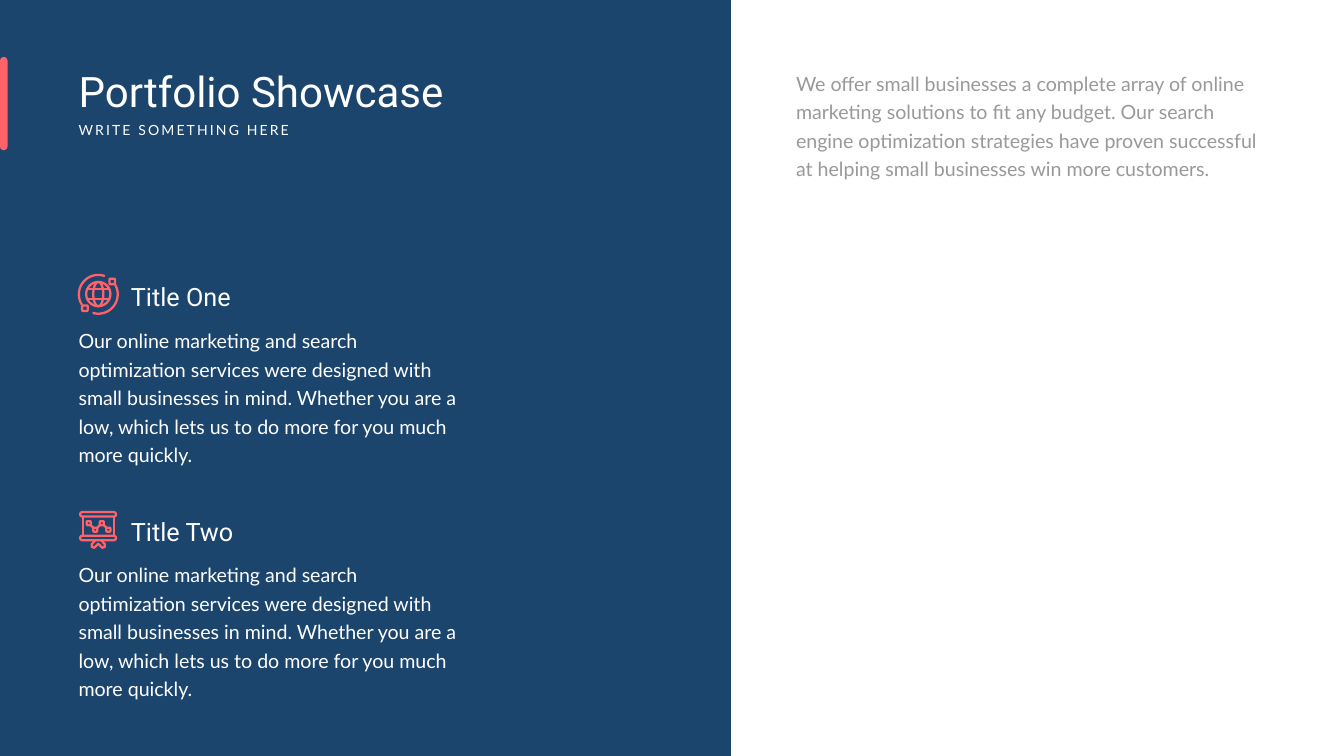
import math

from lxml import etree
from pptx import Presentation
from pptx import util as u
from pptx.dml.color import RGBColor
from pptx.enum import shapes, text
from pptx.oxml import ns

# Content
HEADING = "Portfolio Showcase"
TAGLINE = "WRITE SOMETHING HERE"
INTRO = (
    "We offer small businesses a complete array of online marketing solutions "
    "to fit any budget. Our search engine optimization strategies have proven "
    "successful at helping small businesses win more customers."
)
SERVICE = (
    "Our online marketing and search optimization services were designed with "
    "small businesses in mind. Whether you are a low, which lets us to do more "
    "for you much more quickly."
)
SERVICES = [("Title One", SERVICE), ("Title Two", SERVICE)]

COLORS = {"navy": "1C456D", "coral": "FF6269", "white": "FFFFFF", "grey": "999999"}
FORMATS = {
    "heading": {"name": "Roboto", "size": u.Pt(60)},
    "tagline": {"name": "Lato", "size": u.Pt(20)},
    "title": {"name": "Roboto", "size": u.Pt(36)},
    "body": {"name": "Lato", "size": u.Pt(28)},
}
FRAME = {
    "word_wrap": True,
    "auto_size": text.MSO_AUTO_SIZE.NONE,
    "vertical_anchor": text.MSO_ANCHOR.TOP,
}

# Layout in px, 100 px to the inch
PX = u.Inches(1) // 100
WIDTH, HEIGHT = 2666, 1500
LEFT = 146
PANEL_WIDTH = 1450
TITLE_TOP, TITLE_STEP = 554, 465
BODY_TOP, BODY_STEP = 638, 464
STROKE = u.Pt(3.25)
KIND = shapes.MSO_SHAPE

deck = Presentation()
deck.slide_width, deck.slide_height = WIDTH * PX, HEIGHT * PX
page = deck.slides.add_slide(deck.slide_layouts[5])


def color(name):
    return RGBColor.from_string(COLORS[name])


def scaled(*lengths):
    return [length * PX for length in lengths]


def write(box, words, style, ink="white", leading=None, margins=(10, 5)):
    frame = box.text_frame
    side, edge = scaled(*margins)
    values = FRAME | {
        "margin_left": side, "margin_right": side,
        "margin_top": edge, "margin_bottom": edge,
    }
    for key, value in values.items():
        setattr(frame, key, value)
    para = frame.paragraphs[0]
    para.alignment = text.PP_ALIGN.LEFT
    para.space_before = u.Pt(0)
    if leading:
        para.line_spacing = u.Pt(leading)
    span = para.add_run()
    span.text = words
    for key, value in FORMATS[style].items():
        setattr(span.font, key, value)
    span.font.color.rgb = color(ink)
    return span


def add_text(place, words, style, **options):
    return write(page.shapes.add_textbox(*scaled(*place)), words, style, **options)


def add_block(kind, place, fill):
    block = page.shapes.add_shape(kind, *scaled(*place))
    block.shadow.inherit = False
    block.fill.solid()
    block.fill.fore_color.rgb = color(fill)
    block.line.fill.background()
    return block


# Icon contours, as lists of points
def curve(center, radii, start=0, end=360):
    """Points along an ellipse, in degrees clockwise from the right."""
    steps = max(2, (end - start) // 6)
    angles = [math.radians(start + (end - start) * i / steps) for i in range(steps + 1)]
    return [(center[0] + radii[0] * math.cos(angle),
             center[1] + radii[1] * math.sin(angle)) for angle in angles]


def rounded(x, y, width, height, radius):
    right, bottom = x + width - radius, y + height - radius
    corners = [(right, bottom), (x + radius, bottom),
               (x + radius, y + radius), (right, y + radius)]
    points = [point for index, corner in enumerate(corners)
              for point in curve(corner, (radius, radius), index * 90, index * 90 + 90)]
    return points + points[:1]


def add_outline(*contours):
    contours = [[scaled(*point) for point in contour] for contour in contours]
    builder = page.shapes.build_freeform(*contours[0][0])
    for index, contour in enumerate(contours):
        if index:
            builder.move_to(*contour[0])
        builder.add_line_segments(contour[1:], close=contour[0] == contour[-1])
    outline = builder.convert_to_shape()
    outline.shadow.inherit = False
    outline.fill.background()
    outline.line.color.rgb = color("coral")
    outline.line.width = STROKE
    line = outline._element.spPr.find(ns.qn("a:ln"))
    line.set("cap", "rnd")
    etree.SubElement(line, ns.qn("a:round"))


def draw_globe():
    center = (195, 583.5)
    parallels = [[(173, y), (217, y)] for y in (574, 593)]
    add_outline(curve(center, (24, 24)), curve(center, (10, 24)), *parallels)
    # Orbit halves, each with a square badge
    for start, end, badge in ((331, 465, (217, 553)), (148, 288, (163, 606))):
        add_outline(curve((195, 584), (38.5, 38.5), start, end),
                    rounded(*badge, 11, 11, 2))


def draw_board():
    bars = [rounded(159, y, 71, 9, 4.5) for y in (1016, 1063)]
    sides = [[(x, 1025), (x, 1063)] for x in (164, 226)]
    stand = [(188, 1073), (182, 1080), (182, 1085), (187, 1087), (195, 1079),
             (203, 1087), (208, 1085), (208, 1080), (202, 1073)]
    add_outline(*bars, *sides, stand)
    # Chart nodes alternate high and low, joined at their corners
    node, step, high, low = 8, 13, 1034, 1047
    contours = []
    for index in range(4):
        x, y = 172 + index * step, low if index % 2 else high
        contours.append(rounded(x, y, node, node, 2))
        if index < 3:
            ends = (high + node, low)
            start, end = ends[::-1] if index % 2 else ends
            contours.append([(x + node, start), (x + step, end)])
    add_outline(*contours)


# Panel, behind the title
panel = add_block(KIND.RECTANGLE, (0, 0, PANEL_WIDTH, HEIGHT), "navy")
page.shapes._spTree.insert(2, panel._element)

# Heading
heading = page.shapes.title
heading.left, heading.top, heading.width, heading.height = scaled(LEFT, 124, 865, 111)
write(heading, HEADING, "heading")
tagline = add_text((LEFT, 236, 585, 44), TAGLINE, "tagline")
tagline._r.get_or_add_rPr().set("spc", "300")
accent = add_block(KIND.ROUNDED_RECTANGLE, (0, 113, 15, 185), "coral")
accent.adjustments[0] = 0.5

# Services
for index, ((title, body), draw_icon) in enumerate(
        zip(SERVICES, (draw_globe, draw_board))):
    add_text((LEFT, BODY_TOP + index * BODY_STEP, 794, 292), body, "body", leading=40.8)
    draw_icon()
    add_text((250, TITLE_TOP + index * TITLE_STEP, 346, 71), title, "title")

# Introduction
add_text((1555, 120, 965, 248), INTRO, "body",
         ink="grey", leading=40.8, margins=(24, 12))

deck.save("out.pptx")
